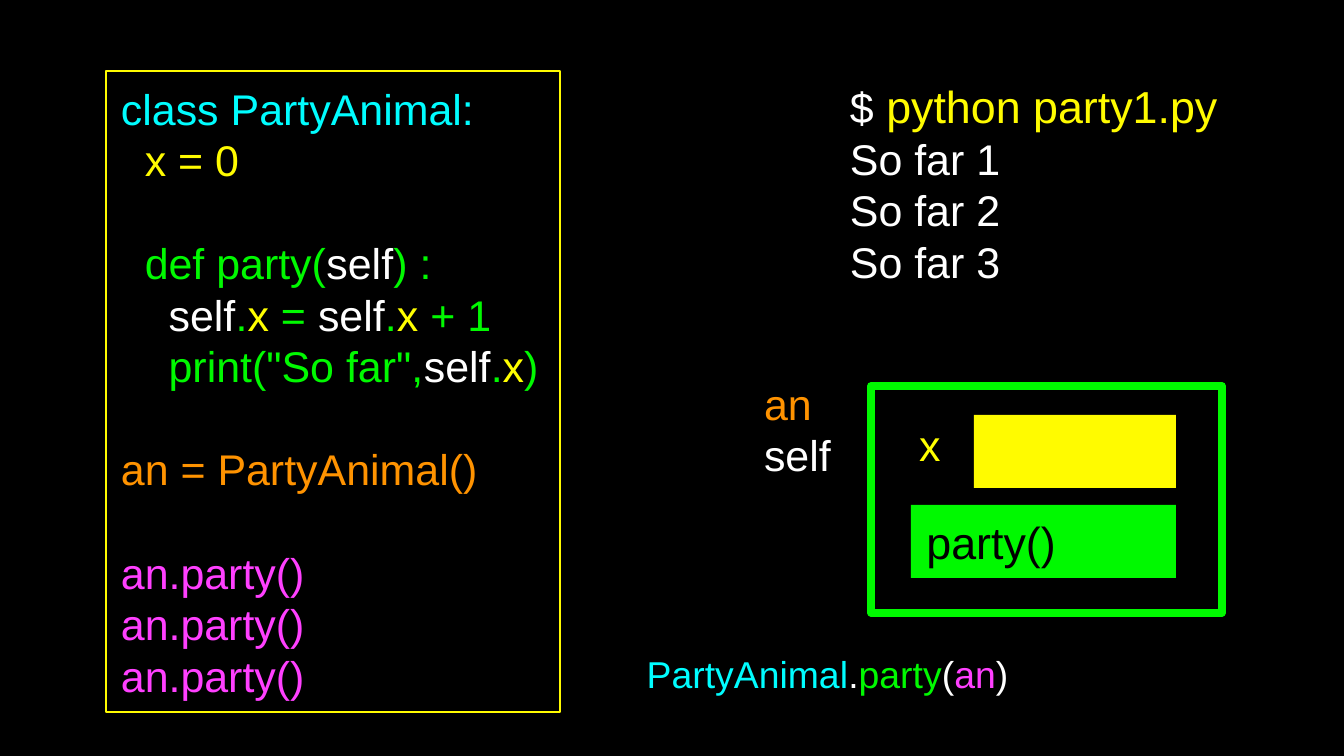
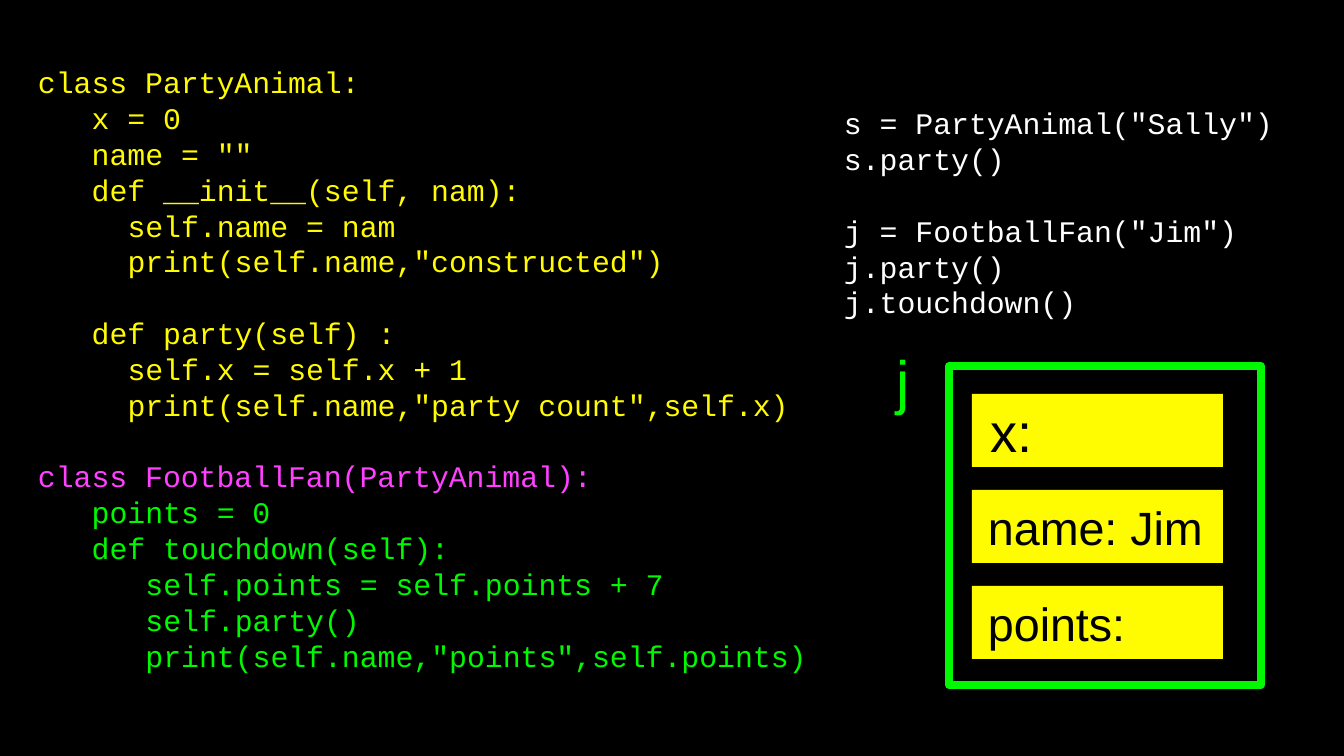
import pptx
import pptx.dml.color
import pptx.enum.shapes
import pptx.enum.text
import pptx.util


class Theme:
    colours = {
        "black": "000000", "white": "FFFFFF", "yellow": "FFFB00",
        "lemon": "FFFF00", "green": "00F900", "lime": "00FA00",
        "cyan": "00FDFF", "orange": "FF9300", "pink": "FF40FF",
    }
    sans, mono = "Arial", "Courier New"
    space_width = {sans: 0.278, mono: 0.6}  # fraction of the type size
    line_height = 1.2
    inset = 3
    thin, thick = 1, 4
    mono_size, call_size, code_size, method_size = 16, 20, 23, 24
    field_size, x_size, variable_size = 25, 29, 32


SLIDE_WIDTH, SLIDE_HEIGHT = 1344, 756
EMU_PER_PX = pptx.util.Inches(10) / SLIDE_WIDTH


def plain(colour, *lines):
    """Lines of one colour, each as a list with a single (text, colour) span."""
    return [[(line, colour)] for line in lines]


SELF_X = [("self", "white"), (".", "green"), ("x", "lemon")]

PARTY_CLASS = [
    *plain("cyan", " class PartyAnimal:"),
    *plain("yellow", "   x = 0", ""),
    [("   def party(", "green"), ("self", "white"), (") :", "green")],
    [("     ", "green"), *SELF_X, (" = ", "green"), *SELF_X, (" + 1", "green")],
    [('     print("So far",', "green"), *SELF_X, (")", "green")],
    *plain("orange", "", " an = PartyAnimal()", ""),
    *plain("pink", *[" an.party()"] * 3),
]
PARTY_OUTPUT = [
    [("$", "white"), (" ", "white", Theme.method_size),
     ("python party1.py", "yellow", Theme.method_size)],
    *plain("white", "So far 1", "So far 2", "So far 3"),
]
INSTANCE_NAMES = [[("an ", "orange"), ("self", "white")]]
UNBOUND_CALL = [[("PartyAnimal", "cyan"), (".", "white"), ("party", "green"),
                 ("(", "white"), ("an", "pink"), (")", "white")]]

INHERITANCE_CODE = [
    *plain("yellow",
           "class PartyAnimal:",
           "   x = 0",
           '   name = ""',
           "   def __init__(self, nam):",
           "     self.name = nam",
           '     print(self.name,"constructed")',
           "",
           "   def party(self) :",
           "     self.x = self.x + 1",
           '     print(self.name,"party count",self.x)',
           ""),
    *plain("pink", "class FootballFan(PartyAnimal):"),
    *plain("green",
           "   points = 0",
           "   def touchdown(self):",
           "      self.points = self.points + 7",
           "      self.party()",
           '      print(self.name,"points",self.points)'),
]
INHERITANCE_CALLS = plain("white",
                          's = PartyAnimal("Sally")',
                          "s.party()",
                          "",
                          'j = FootballFan("Jim")',
                          "j.party()",
                          "j.touchdown()")
FAN_FIELDS = [(" x:", Theme.x_size), (" name: Jim", Theme.field_size),
              (" points:", Theme.field_size)]


def px(length):
    return pptx.util.Emu(round(length * EMU_PER_PX))


def rgb(colour):
    return pptx.dml.color.RGBColor.from_string(Theme.colours[colour])


def write(shape, lines, size, font=Theme.sans, centred=False):
    """Fill a shape with coloured lines; leading spaces become indents, empty lines gaps."""
    frame = shape.text_frame
    frame.word_wrap = True
    frame.vertical_anchor = pptx.enum.text.MSO_ANCHOR.MIDDLE
    frame.margin_left = frame.margin_right = px(Theme.inset)
    frame.margin_top = frame.margin_bottom = px(Theme.inset)
    align = pptx.enum.text.PP_ALIGN
    pitch = pptx.util.Pt(size * Theme.line_height)
    paragraph, gap = None, 0
    for line in lines:
        text = "".join(span[0] for span in line)
        if not text:
            gap += pitch
            continue
        paragraph = frame.add_paragraph() if paragraph else frame.paragraphs[0]
        paragraph.alignment = align.CENTER if centred else align.LEFT
        paragraph.line_spacing = pitch
        paragraph.space_before = pptx.util.Emu(gap)
        gap = 0
        spaces = len(text) - len(text.lstrip())
        indent = pptx.util.Pt(spaces * Theme.space_width[font] * size)
        properties = paragraph._p.get_or_add_pPr()
        properties.set("marL", str(indent))
        properties.set("indent", "0")
        paragraph.font.name = font
        paragraph.font.size = pptx.util.Pt(size)
        paragraph.font.color.rgb = rgb(line[0][1])
        for position, (words, colour, *own_size) in enumerate(line):
            words = words.lstrip() if position == 0 else words
            if not words:
                continue
            run = paragraph.add_run()
            run.text = words
            if len(line) > 1:
                run.font.color.rgb = rgb(colour)
            if own_size:
                run.font.size = pptx.util.Pt(own_size[0])


def add_text(slide, box, lines, size, **options):
    shape = slide.shapes.add_textbox(*map(px, box))
    write(shape, lines, size, **options)
    return shape


def add_box(slide, box, fill=None, line=None, width=Theme.thin):
    rectangle = pptx.enum.shapes.MSO_SHAPE.RECTANGLE
    shape = slide.shapes.add_shape(rectangle, *map(px, box))
    shape.shadow.inherit = False
    if fill:
        shape.fill.solid()
        shape.fill.fore_color.rgb = rgb(fill)
    else:
        shape.fill.background()
    if line:
        shape.line.color.rgb = rgb(line)
        shape.line.width = pptx.util.Pt(width)
    else:
        shape.line.fill.background()
    return shape


def build_instance_slide(slide):
    code_box = add_box(slide, (106, 71, 454, 641), line="yellow")
    write(code_box, PARTY_CLASS, Theme.code_size)
    add_box(slide, (871, 386, 351, 227), line="green", width=Theme.thick)
    add_box(slide, (974, 415, 202, 73), fill="yellow")
    method_box = add_box(slide, (911, 505, 265, 73), fill="green")
    write(method_box, plain("black", " party()"), Theme.method_size)
    add_text(slide, (761, 368, 81, 122), INSTANCE_NAMES, Theme.code_size)
    add_text(slide, (902, 419, 56, 51), plain("lemon", "x"), Theme.code_size, centred=True)
    add_text(slide, (847, 89, 454, 190), PARTY_OUTPUT, Theme.code_size)
    add_text(slide, (625, 646, 405, 55), UNBOUND_CALL, Theme.call_size, centred=True)


def build_inheritance_slide(slide):
    add_text(slide, (35, 23, 786, 691), INHERITANCE_CODE, Theme.mono_size, font=Theme.mono)
    add_text(slide, (841, 89, 478, 247), INHERITANCE_CALLS, Theme.mono_size, font=Theme.mono)
    add_box(slide, (949, 366, 312, 319), line="green", width=Theme.thick)
    field_top, field_pitch = 394, 96
    for row, (label, size) in enumerate(FAN_FIELDS):
        field = add_box(slide, (972, field_top + row * field_pitch, 251, 73), fill="yellow")
        write(field, plain("black", label), size)
    variable = add_text(slide, (883, 337, 51, 86), plain("lime", "j"), Theme.variable_size)
    frame = variable.text_frame
    frame.vertical_anchor = pptx.enum.text.MSO_ANCHOR.TOP
    frame.auto_size = pptx.enum.text.MSO_AUTO_SIZE.SHAPE_TO_FIT_TEXT
    frame.margin_left = frame.margin_right = pptx.util.Inches(0.1)
    frame.margin_top = frame.margin_bottom = pptx.util.Inches(0.05)


def main():
    presentation = pptx.Presentation()
    presentation.slide_width = px(SLIDE_WIDTH)
    presentation.slide_height = px(SLIDE_HEIGHT)
    background = presentation.slide_master.background.fill
    background.solid()
    background.fore_color.rgb = rgb("black")
    blank_layout = presentation.slide_layouts.get_by_name("Blank")
    for build in (build_instance_slide, build_inheritance_slide):
        build(presentation.slides.add_slide(blank_layout))
    presentation.save("out.pptx")


if __name__ == "__main__":
    main()
